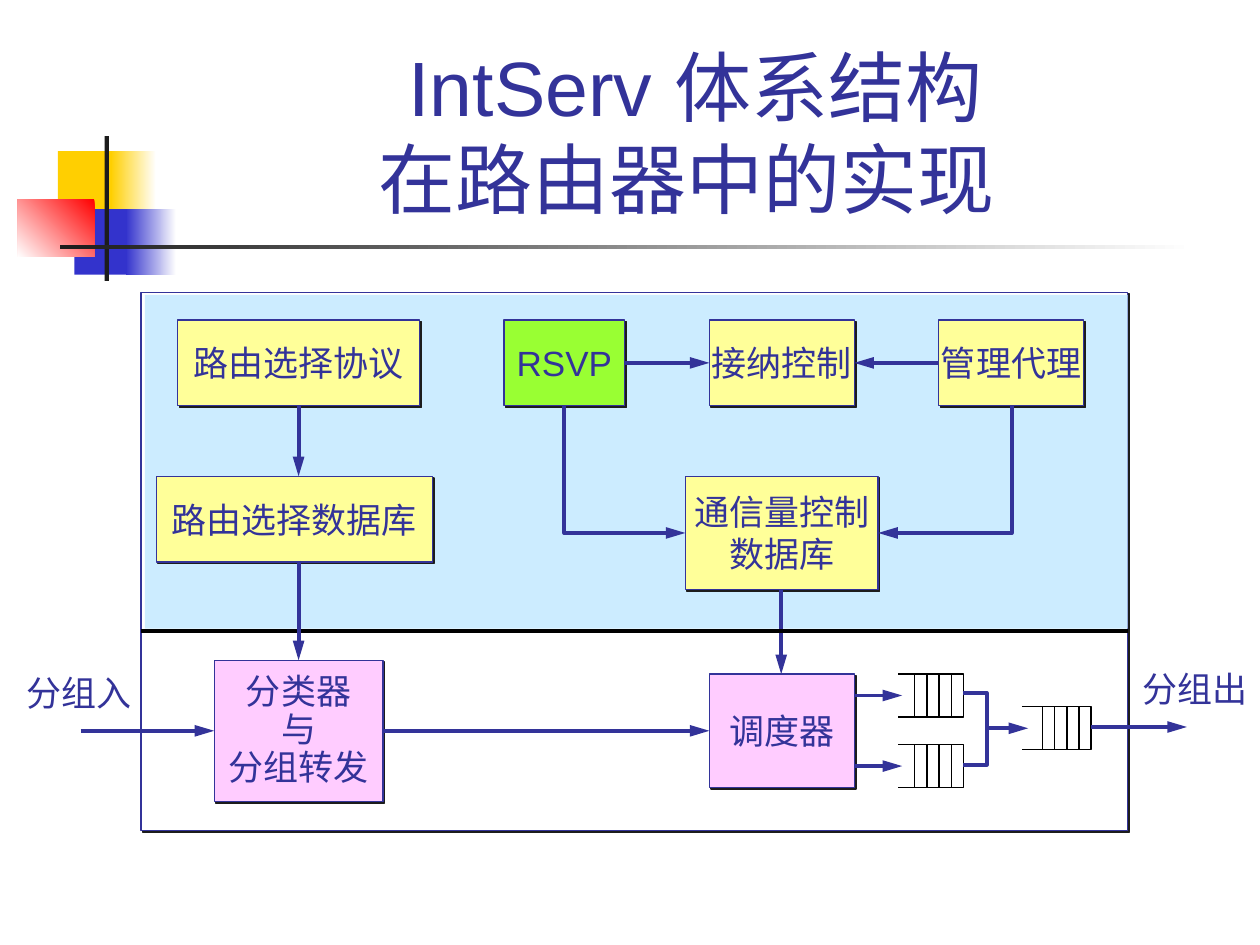
from dataclasses import dataclass
from typing import Optional

from lxml.etree import SubElement
from pptx import Presentation
from pptx.dml.color import RGBColor
from pptx.enum.shapes import MSO_CONNECTOR, MSO_SHAPE
from pptx.enum.text import MSO_ANCHOR, MSO_AUTO_SIZE, PP_ALIGN
from pptx.oxml.ns import qn
from pptx.util import Inches, Pt

COLUMNS, ROWS = 100, 75


@dataclass(frozen=True)
class Theme:
    font: str = "Arial"
    title_size: int = 44
    label_size: int = 20
    thin: float = 0.75
    thick: float = 2.25
    ink: str = "333399"
    black: str = "000000"
    dark: str = "1C1C1C"
    white: str = "FFFFFF"
    gold: str = "FFCF01"
    blue: str = "3333CC"
    red: str = "FF0000"
    sky: str = "CCECFF"
    yellow: str = "FFFF99"
    green: str = "99FF33"
    pink: str = "FFCCFF"


THEME = Theme()


@dataclass(frozen=True)
class Area:
    left: float
    top: float
    width: float
    height: float


@dataclass(frozen=True)
class Box:
    area: Area
    fill: str
    lines: tuple[str, ...] = ()
    outlined: bool = True
    spacing: Optional[float] = None
    fade_to: Optional[str] = None
    angle: int = 180


@dataclass(frozen=True)
class Route:
    points: tuple[tuple[float, float], ...]
    color: str = THEME.ink
    width: float = THEME.thick
    arrow: bool = True


ORNAMENTS = (
    Box(Area(4.6, 12, 4.8, 5.2), THEME.gold, outlined=False),
    Box(Area(8.8, 12, 3.6, 5.2), THEME.white, outlined=False, fade_to=THEME.gold),
    Box(Area(5.9, 16.6, 4.6, 5.2), THEME.blue, outlined=False),
    Box(Area(10, 16.6, 4, 5.2), THEME.white, outlined=False, fade_to=THEME.blue),
    Box(Area(1.4, 15.8, 6.1, 4.6), THEME.red, outlined=False, fade_to=THEME.white, angle=225),
    Box(Area(8.3, 10.8, 0.35, 11.5), THEME.dark, outlined=False),
    Box(Area(4.8, 19.45, 90, 0.35), THEME.white, outlined=False, fade_to=THEME.dark),
)

BOXES = (
    Box(Area(11.2, 23.2, 78.3, 42.7), THEME.white),
    Box(Area(11.5, 23.4, 78, 26.5), THEME.sky, outlined=False),
    Box(Area(14.1, 25.4, 19.2, 6.8), THEME.yellow, ("路由选择协议",)),
    Box(Area(12.4, 37.8, 21.9, 6.8), THEME.yellow, ("路由选择数据库",)),
    Box(Area(40, 25.4, 9.6, 6.8), THEME.green, ("RSVP",)),
    Box(Area(56.3, 25.4, 11.5, 6.8), THEME.yellow, ("接纳控制",)),
    Box(Area(74.5, 25.4, 11.5, 6.8), THEME.yellow, ("管理代理",)),
    Box(Area(54.4, 37.8, 15.3, 9), THEME.yellow, ("通信量控制", "数据库")),
    Box(Area(17, 52.4, 13.4, 11.2), THEME.pink, ("分类器", "与", "分组转发"), spacing=0.9),
    Box(Area(56.3, 53.5, 11.5, 9), THEME.pink, ("调度器",)),
)

QUEUES = (
    Area(71.3, 53.5, 5.15, 3.4),
    Area(71.3, 59.1, 5.15, 3.4),
    Area(81.1, 56.1, 5.5, 3.4),
)
QUEUE_SLOTS = 4
SLOT_WIDTH = 0.96

ROUTES = (
    Route(((62, 46.8), (62, 53.5))),
    Route(((11.2, 50.1), (89.5, 50.1)), THEME.black, arrow=False),
    Route(((86.6, 57.7), (94.2, 57.7))),
    Route(((67.8, 55.2), (71.6, 55.2))),
    Route(((67.8, 60.8), (71.6, 60.8))),
    Route(((30.4, 58), (56.3, 58))),
    Route(((6.4, 58), (17, 58))),
    Route(((76.4, 55), (78.3, 55), (78.3, 60.7), (76.4, 60.7)), arrow=False),
    Route(((78.3, 57.8), (81.6, 57.8))),
    Route(((23.7, 32.2), (23.7, 37.8))),
    Route(((23.7, 44.5), (23.7, 52.4))),
    Route(((49.6, 28.8), (56.3, 28.8))),
    Route(((74.5, 28.8), (67.8, 28.8))),
    Route(((44.8, 32.2), (44.8, 42.3), (54.4, 42.3))),
    Route(((80.3, 32.2), (80.3, 42.3), (69.7, 42.3))),
)

LABELS = (
    (Area(1.1, 52.8, 10.3, 4.4), "分组入"),
    (Area(89.7, 52.5, 10.3, 4.4), "分组出"),
)


class Canvas:
    def __init__(self, deck):
        self.column = deck.slide_width / COLUMNS
        self.row = deck.slide_height / ROWS
        self.slide = deck.slides.add_slide(deck.slide_layouts[5])
        self.shapes = self.slide.shapes

    def point(self, column: float, row: float) -> tuple[int, int]:
        return round(column * self.column), round(row * self.row)

    def frame(self, area: Area) -> tuple[int, int, int, int]:
        return self.point(area.left, area.top) + self.point(area.width, area.height)


def style_paragraph(para, size: int, alignment: PP_ALIGN) -> None:
    para.alignment = alignment
    para.font.name = THEME.font
    para.font.size = Pt(size)
    para.font.color.rgb = RGBColor.from_string(THEME.ink)


def style_line(line, color: str, width: float) -> None:
    line.color.rgb = RGBColor.from_string(color)
    line.width = Pt(width)


def add_hard_shadow(shape) -> None:
    effects = shape._element.spPr.find(qn("a:effectLst"))
    shadow = SubElement(effects, qn("a:outerShdw"), dist=str(Pt(1.4)), dir="2700000",
                        algn="ctr", rotWithShape="0")
    SubElement(shadow, qn("a:srgbClr"), val=THEME.dark)


def draw_title(canvas: Canvas, area: Area, text: str) -> None:
    title = canvas.shapes.title
    title.left, title.top, title.width, title.height = canvas.frame(area)
    frame = title.text_frame
    frame.text = text
    frame.word_wrap = True
    frame.auto_size = MSO_AUTO_SIZE.NONE
    frame.vertical_anchor = MSO_ANCHOR.BOTTOM
    style_paragraph(frame.paragraphs[0], THEME.title_size, PP_ALIGN.CENTER)


def draw_box(canvas: Canvas, box: Box) -> None:
    shape = canvas.shapes.add_shape(MSO_SHAPE.RECTANGLE, *canvas.frame(box.area))
    shape.shadow.inherit = False
    if box.fade_to:
        shape.fill.gradient()
        shape.fill.gradient_angle = box.angle
        for stop, color in zip(shape.fill.gradient_stops, (box.fill, box.fade_to)):
            stop.color.rgb = RGBColor.from_string(color)
    else:
        shape.fill.solid()
        shape.fill.fore_color.rgb = RGBColor.from_string(box.fill)
    if box.outlined:
        style_line(shape.line, THEME.ink, THEME.thin)
        add_hard_shadow(shape)
    else:
        shape.line.fill.background()
    if box.lines:
        frame = shape.text_frame
        frame.text = "\n".join(box.lines)
        frame.word_wrap = False
        frame.vertical_anchor = MSO_ANCHOR.MIDDLE
        for para in frame.paragraphs:
            style_paragraph(para, THEME.label_size, PP_ALIGN.CENTER)
            para.line_spacing = box.spacing


def draw_route(canvas: Canvas, route: Route) -> None:
    points = [canvas.point(*point) for point in route.points]
    if len(points) == 2:
        shape = canvas.shapes.add_connector(MSO_CONNECTOR.STRAIGHT, *points[0], *points[1])
    else:
        builder = canvas.shapes.build_freeform(*points[0])
        builder.add_line_segments(points[1:], close=False)
        shape = builder.convert_to_shape()
        shape.fill.background()
    style_line(shape.line, route.color, route.width)
    properties = shape._element.spPr
    if route.arrow:
        SubElement(properties.find(qn("a:ln")), qn("a:tailEnd"), type="triangle", len="lg")
    SubElement(properties, qn("a:effectLst"))


def draw_queue(canvas: Canvas, area: Area) -> None:
    right, bottom = area.left + area.width, area.top + area.height
    outline = ((area.left, area.top), (right, area.top), (right, bottom), (area.left, bottom))
    slots = [right - SLOT_WIDTH * slot for slot in range(1, QUEUE_SLOTS + 1)]
    for points in (outline, *(((x, area.top), (x, bottom)) for x in slots)):
        draw_route(canvas, Route(points, THEME.black, THEME.thin, arrow=False))


def draw_label(canvas: Canvas, area: Area, text: str) -> None:
    frame = canvas.shapes.add_textbox(*canvas.frame(area)).text_frame
    frame.text = text
    frame.word_wrap = False
    frame.margin_right = 0
    style_paragraph(frame.paragraphs[0], THEME.label_size, PP_ALIGN.LEFT)


def main() -> None:
    deck = Presentation()
    deck.slide_width, deck.slide_height = Inches(10), Inches(7.5)
    canvas = Canvas(deck)
    draw_title(canvas, Area(12.6, 2.3, 85.2, 16), "IntServ 体系结构\v在路由器中的实现 ")
    for box in ORNAMENTS + BOXES:
        draw_box(canvas, box)
    for area in QUEUES:
        draw_queue(canvas, area)
    for route in ROUTES:
        draw_route(canvas, route)
    for area, text in LABELS:
        draw_label(canvas, area, text)
    deck.save("out.pptx")


if __name__ == "__main__":
    main()
